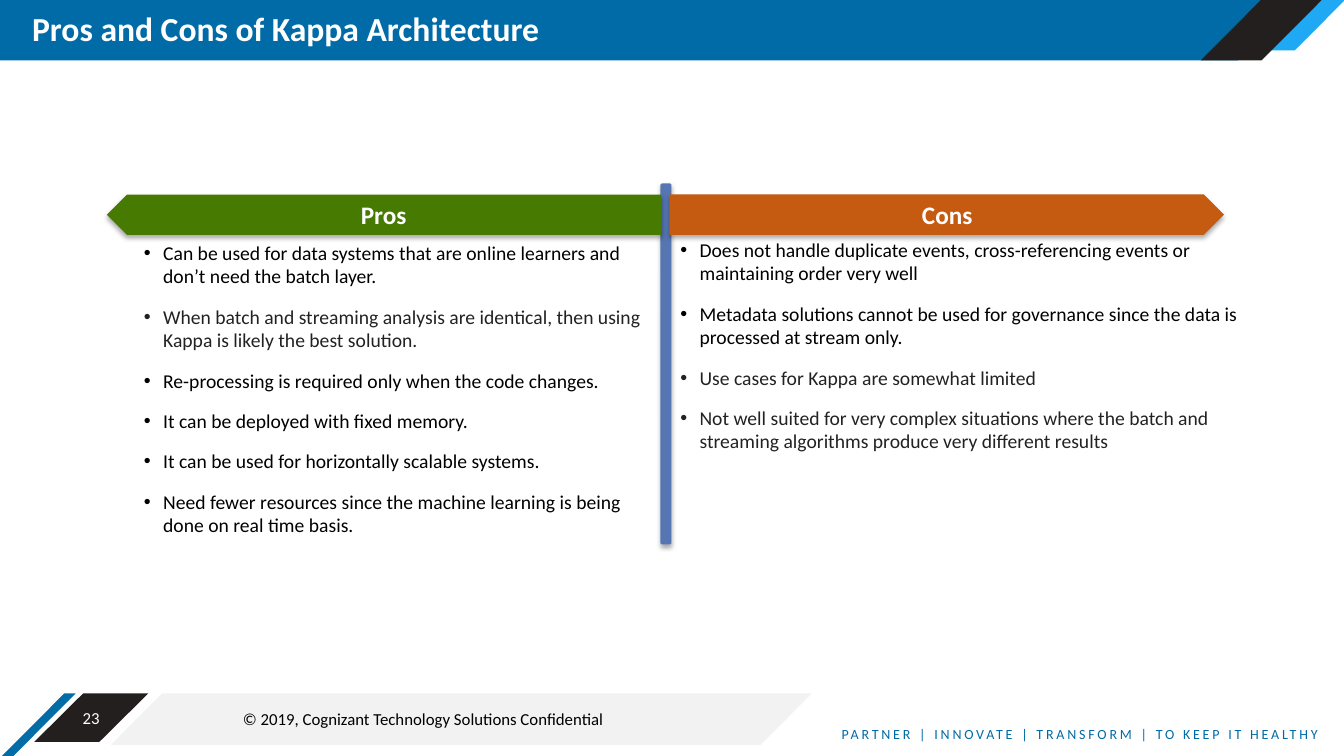
from lxml.etree import SubElement
from pptx import Presentation
from pptx.dml.color import RGBColor
from pptx.enum.shapes import MSO_SHAPE
from pptx.enum.text import MSO_ANCHOR, PP_ALIGN
from pptx.oxml import parse_xml
from pptx.oxml.ns import nsdecls, qn
from pptx.util import Inches, Pt

FONT = "Calibri"
WHITE, BLACK, CHARCOAL, INK = "FFFFFF", "000000", "222222", "231F1E"
BLUE, SKY, GREY = "006BA6", "1FA8F4", "F2F2F2"
GREEN, ORANGE, STEEL = "467A00", "C55A11", "5676B3"

PROS = [
    ("Can be used for data systems that are online learners and don’t need the batch layer.", BLACK),
    ("When batch and streaming analysis are identical, then using Kappa is likely the best solution.", CHARCOAL),
    ("Re-processing is required only when the code changes.", BLACK),
    ("It can be deployed with fixed memory.", BLACK),
    ("It can be used for horizontally scalable systems.", BLACK),
    ("Need fewer resources since the machine learning is being done on real time basis.", BLACK),
]
CONS = [
    ("Does not handle duplicate events, cross-referencing events or maintaining order very well", BLACK),
    ("Metadata solutions cannot be used for governance since the data is processed at stream only.", BLACK),
    ("Use cases for Kappa are somewhat limited", CHARCOAL),
    ("Not well suited for very complex situations where the batch and streaming algorithms "
     "produce very different results", CHARCOAL),
]


def color(value):
    return RGBColor.from_string(value)


def paint(shape, fill):
    shape.fill.solid()
    shape.fill.fore_color.rgb = color(fill)
    shape.line.fill.background()
    shape.shadow.inherit = False


def add_block(slide, kind, box, fill, adjustment=None):
    shape = slide.shapes.add_shape(kind, *map(Inches, box))
    paint(shape, fill)
    if adjustment is not None:
        shape.adjustments[0] = adjustment
    return shape


def add_soft_shadow(shape):
    effects = shape._element.spPr.find(qn("a:effectLst"))
    effects.append(parse_xml(
        f'<a:outerShdw {nsdecls("a")} blurRad="{Pt(3.5)}" dist="{Pt(2.2)}" dir="5400000" '
        'algn="ctr" rotWithShape="0"><a:srgbClr val="000000"><a:alpha val="32000"/>'
        '</a:srgbClr></a:outerShdw>'))


def style(paragraph, size, text_color, bold=False, align=PP_ALIGN.LEFT):
    paragraph.alignment = align
    for run in paragraph.runs:
        run.font.name = FONT
        run.font.size = Pt(size)
        run.font.bold = bold
        run.font.color.rgb = color(text_color)


def add_label(slide, box, text, size, text_color, bold=False, align=PP_ALIGN.LEFT, wrap=True):
    label = slide.shapes.add_textbox(*map(Inches, box))
    label.text_frame.word_wrap = wrap
    label.text_frame.text = text
    style(label.text_frame.paragraphs[0], size, text_color, bold, align)
    return label


def add_header(slide, left, top, width, height):
    # Title band with a notched right end
    notch = width - 0.41
    builder = slide.shapes.build_freeform(Inches(left), Inches(top))
    corners = [(width, 0), (notch, 0.33), (notch, height), (0, height)]
    builder.add_line_segments([(Inches(left + x), Inches(top + y)) for x, y in corners])
    paint(builder.convert_to_shape(), BLUE)
    # Slanted corner accents
    add_block(slide, MSO_SHAPE.PARALLELOGRAM, (left + 12.51, top, 0.83, 0.5), SKY, 0.995)
    add_block(slide, MSO_SHAPE.PARALLELOGRAM, (left + 11.91, top, 1.2, height), INK, 0.995)
    # Title
    title = add_label(slide, (left + 0.22, top, 11.74, height),
                      "Pros and Cons of Kappa Architecture", 24, WHITE, bold=True)
    title.text_frame.vertical_anchor = MSO_ANCHOR.MIDDLE
    title.text_frame.paragraphs[0].line_spacing = 0.9


def add_footer(slide, left, top):
    # Slanted bands
    add_block(slide, MSO_SHAPE.PARALLELOGRAM, (left + 1.1, top, 6.95, 0.51), GREY, 0.995)
    add_block(slide, MSO_SHAPE.PARALLELOGRAM, (left + 0.02, top, 0.73, 0.62), "026CA6", 0.995)
    # Slide number
    number = add_block(slide, MSO_SHAPE.PARALLELOGRAM, (left + 0.34, top, 1.13, 0.48), INK, 1.009)
    frame = number.text_frame
    frame.margin_left = frame.margin_right = frame.margin_top = frame.margin_bottom = 0
    frame.vertical_anchor = MSO_ANCHOR.MIDDLE
    frame.text = "23"
    style(frame.paragraphs[0], 12, WHITE, align=PP_ALIGN.CENTER)
    # Tagline and copyright line
    tagline = add_label(slide, (left + 8.25, top + 0.27, 5.06, 0.27),
                        "PARTNER | INNOVATE | TRANSFORM | TO KEEP IT HEALTHY", 10, BLUE, wrap=False)
    tagline.text_frame.paragraphs[0].runs[0].font._element.set("spc", "200")
    notice = add_label(slide, (left + 2.31, top + 0.19, 4.19, 0.25),
                       "© 2019, Cognizant Technology Solutions Confidential", 12, BLACK)
    notice.text_frame.paragraphs[0].line_spacing = 0.5


def add_arrow_heading(slide, box, text, fill, rotation, label_left, label_width):
    left, top, width, height = box
    arrow = add_block(slide, MSO_SHAPE.PENTAGON, box, fill)
    arrow.rotation = rotation
    add_soft_shadow(arrow)
    add_label(slide, (left + label_left, top, label_width, height), text, 18, WHITE,
              bold=True, align=PP_ALIGN.CENTER)


def add_bullets(slide, box, items):
    frame = slide.shapes.add_textbox(*map(Inches, box)).text_frame
    frame.word_wrap = True
    frame.text = "\n".join(text for text, _ in items)
    for paragraph, (_, text_color) in zip(frame.paragraphs, items):
        properties = paragraph._p.get_or_add_pPr()
        properties.set("marL", str(Inches(0.19)))
        properties.set("indent", str(Inches(-0.19)))
        SubElement(properties, qn("a:buFont"), typeface="Arial")
        SubElement(properties, qn("a:buChar"), char="•")
        paragraph.space_after = Pt(12)
        style(paragraph, 14, text_color)


def add_comparison(slide, left, top):
    # Central divider
    divider = add_block(slide, MSO_SHAPE.ROUNDED_RECTANGLE, (left + 5.49, top, 0.11, 3.58), STEEL)
    add_soft_shadow(divider)
    # Outward-pointing headings
    add_arrow_heading(slide, (left, top + 0.11, 5.5, 0.4), "Pros", GREEN, 180, 2.26, 0.97)
    add_arrow_heading(slide, (left + 5.58, top + 0.11, 5.5, 0.4), "Cons", ORANGE, 0, 2.12, 1.27)
    # Bullet lists
    add_bullets(slide, (left + 0.27, top + 0.52, 5.14, 3.06), PROS)
    add_bullets(slide, (left + 5.59, top + 0.49, 6.02, 2.26), CONS)


def main():
    presentation = Presentation()
    presentation.slide_width = Inches(13.33)
    presentation.slide_height = Inches(7.5)
    slide = presentation.slides.add_slide(presentation.slide_layouts[6])
    add_footer(slide, 0, 6.88)
    add_header(slide, 0, 0, 12.69, 0.6)
    add_comparison(slide, 1.06, 1.82)
    presentation.save("out.pptx")


if __name__ == "__main__":
    main()
